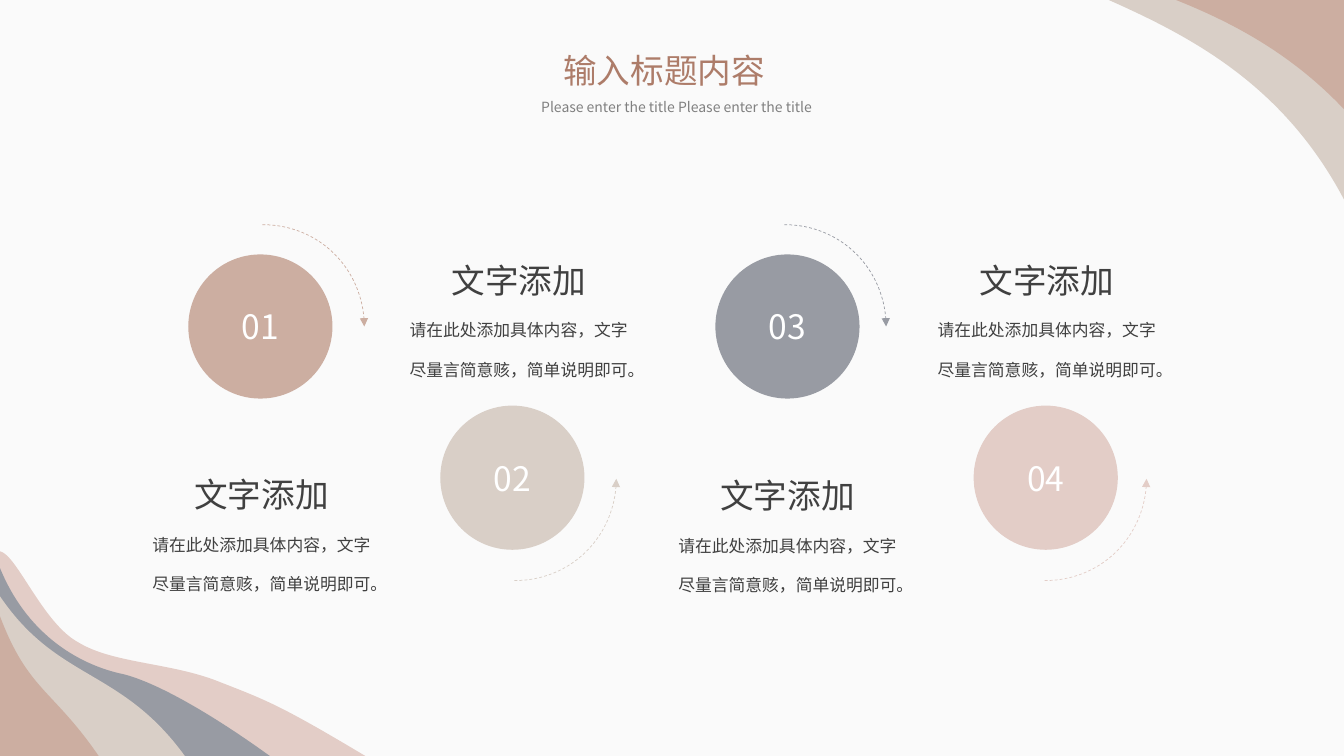
from dataclasses import dataclass

from lxml.etree import SubElement
from pptx import Presentation
from pptx.dml.color import RGBColor
from pptx.enum.dml import MSO_LINE_DASH_STYLE as Dash
from pptx.enum.shapes import MSO_SHAPE as Preset
from pptx.enum.text import MSO_ANCHOR as Anchor, MSO_AUTO_SIZE as AutoSize, PP_ALIGN as Align
from pptx.oxml.ns import qn
from pptx.util import Pt

PX = 9525
WIDTH, HEIGHT = 1280, 720


@dataclass(frozen=True)
class Theme:
    font: str = "Noto Sans CJK SC"
    paper: str = "FAFAFA"
    clay: str = "CCAEA1"
    sand: str = "D9CFC7"
    slate: str = "989BA3"
    blush: str = "E3CDC7"
    title: str = "AD7C69"
    subtitle: str = "808080"
    ink: str = "404040"
    white: str = "FFFFFF"
    heading_size: int = 24
    body_size: int = 12
    subtitle_size: int = 10


THEME = Theme()
HEADING = "文字添加"
DETAIL = "请在此处添加具体内容，文字尽量言简意赅，简单说明即可。"
DISC = 136
ARC_RADIUS = 97
ARC_HANDLE = 53

CORNER_WAVES = [
    (THEME.sand, (WIDTH, 0), (1280, 190), [(1223, 82, 1137, 36, 1056, 0)]),
    (THEME.blush, (0, HEIGHT), (0, 525), [
        (16, 528, 41, 594, 75, 612),
        (108, 632, 163, 631, 208, 649),
        (254, 667, 266, 671, 348, 720),
    ]),
    (THEME.slate, (0, HEIGHT), (0, 541), [
        (30, 614, 88, 636, 117, 642),
        (146, 649, 196, 676, 257, 720),
    ]),
    (THEME.sand, (0, HEIGHT), (0, 568), [(55, 649, 115, 636, 176, 720)]),
    (THEME.clay, (0, HEIGHT), (0, 587), [(27, 658, 50, 656, 94, 720)]),
    (THEME.clay, (0, HEIGHT), (0, 632), [(18, 672, 32, 692, 66, 720)]),
    (THEME.clay, (WIDTH, 0), (1280, 104), [(1228, 49, 1170, 20, 1120, 0)]),
]

STEPS = [
    ("01", THEME.clay, (180, 243), (250, 214), 1, (143, 414)),
    ("02", THEME.sand, (420, 387), (490, 553), -1, (388, 210)),
    ("03", THEME.slate, (682, 243), (747, 214), 1, (644, 415)),
    ("04", THEME.blush, (928, 387), (995, 553), -1, (891, 210)),
]


def rgb(value):
    return RGBColor.from_string(value)


def px(*lengths):
    return [length * PX for length in lengths]


def style_paragraph(paragraph, text, size, color, align=None, spacing=None):
    paragraph.text = text
    paragraph.alignment = align
    paragraph.line_spacing = spacing
    font = paragraph.font
    font.size = Pt(size)
    font.color.rgb = rgb(color)
    font.name = THEME.font
    defaults = paragraph._p.pPr.find(qn("a:defRPr"))
    SubElement(defaults, qn("a:ea")).set("typeface", THEME.font)


def add_text(slide, box, lines, align=None, spacing=None, inset=None):
    frame = slide.shapes.add_textbox(*px(*box)).text_frame
    frame.word_wrap = True
    frame.auto_size = AutoSize.SHAPE_TO_FIT_TEXT
    if inset is not None:
        frame.margin_left = frame.margin_right = inset
        frame.margin_top = frame.margin_bottom = inset
    for index, (text, size, color) in enumerate(lines):
        paragraph = frame.add_paragraph() if index else frame.paragraphs[0]
        style_paragraph(paragraph, text, size, color, align, spacing)


def add_outline(slide, start, segments, close):
    builder = slide.shapes.build_freeform(*start, scale=PX)
    builder.add_line_segments([segment[-2:] for segment in segments], close=close)
    outline = builder.convert_to_shape()
    outline.shadow.inherit = False
    left, top = outline.left // PX, outline.top // PX
    edges = list(outline._element.iter(qn("a:lnTo")))
    for edge, segment in zip(edges, segments):
        if len(segment) == 6:
            edge_parent = edge.getparent()
            curve = edge_parent.makeelement(qn("a:cubicBezTo"), {})
            for x, y in zip(segment[::2], segment[1::2]):
                point = SubElement(curve, qn("a:pt"))
                point.set("x", str(x - left))
                point.set("y", str(y - top))
            edge_parent.replace(edge, curve)
    return outline


def add_wave(slide, color, corner, edge_start, curves):
    wave = add_outline(slide, corner, [edge_start, *curves], True)
    wave.fill.solid()
    wave.fill.fore_color.rgb = rgb(color)
    wave.line.fill.background()


def add_arc_arrow(slide, color, start, direction):
    x, y = start
    tip_x, tip_y = x + ARC_RADIUS, y + direction * ARC_RADIUS
    curve = (x + ARC_HANDLE, y, tip_x, tip_y - direction * ARC_HANDLE, tip_x, tip_y)
    arc = add_outline(slide, start, [curve], False)
    arc.fill.background()
    arc.line.color.rgb = rgb(color)
    arc.line.width = Pt(0.5)
    arc.line.dash_style = Dash.DASH
    SubElement(arc.line._get_or_add_ln(), qn("a:tailEnd")).set("type", "triangle")


def add_disc(slide, number, color, corner):
    disc = slide.shapes.add_shape(Preset.OVAL, *px(*corner, DISC, DISC))
    disc.shadow.inherit = False
    disc.fill.solid()
    disc.fill.fore_color.rgb = rgb(color)
    disc.line.color.rgb = rgb(color)
    disc.line.width = Pt(1)
    disc.text_frame.vertical_anchor = Anchor.MIDDLE
    style_paragraph(disc.text_frame.paragraphs[0], number, THEME.heading_size,
                    THEME.white, Align.CENTER)


def main():
    deck = Presentation()
    deck.slide_width, deck.slide_height = px(WIDTH, HEIGHT)
    slide = deck.slides.add_slide(deck.slide_layouts[6])
    slide.background.fill.solid()
    slide.background.fill.fore_color.rgb = rgb(THEME.paper)

    for wave in CORNER_WAVES:
        add_wave(slide, *wave)

    add_text(slide, (527, 43, 224, 48),
             [("输入标题内容", THEME.heading_size, THEME.title)])
    add_text(slide, (506, 81, 326, 34),
             [("Please enter the title Please enter the title",
               THEME.subtitle_size, THEME.subtitle)], spacing=1.5)

    for number, color, disc_corner, arc_start, direction, text_corner in STEPS:
        add_arc_arrow(slide, color, arc_start, direction)
        add_disc(slide, number, color, disc_corner)
        add_text(slide, (*text_corner, 212, 147),
                 [(HEADING, THEME.heading_size, THEME.ink),
                  (DETAIL, THEME.body_size, THEME.ink)],
                 Align.CENTER, 1.98, 0)

    deck.save("out.pptx")


if __name__ == "__main__":
    main()
